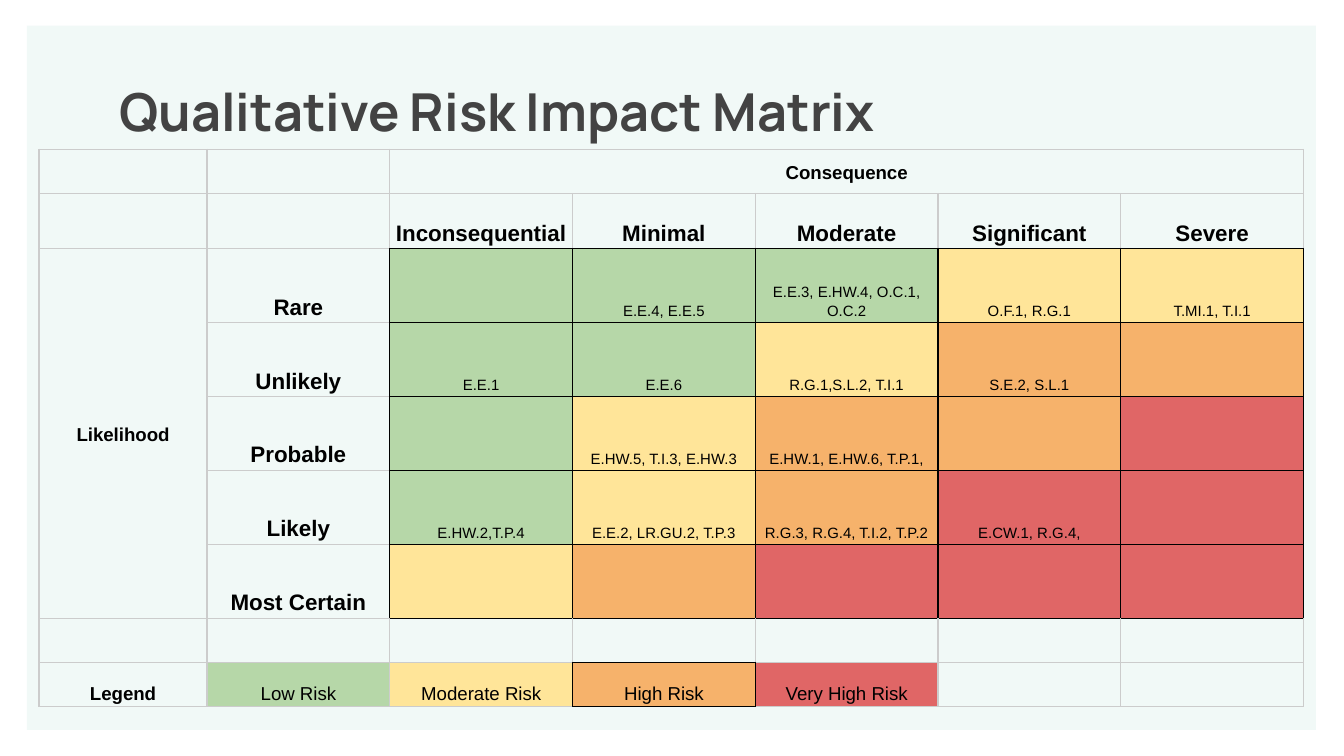
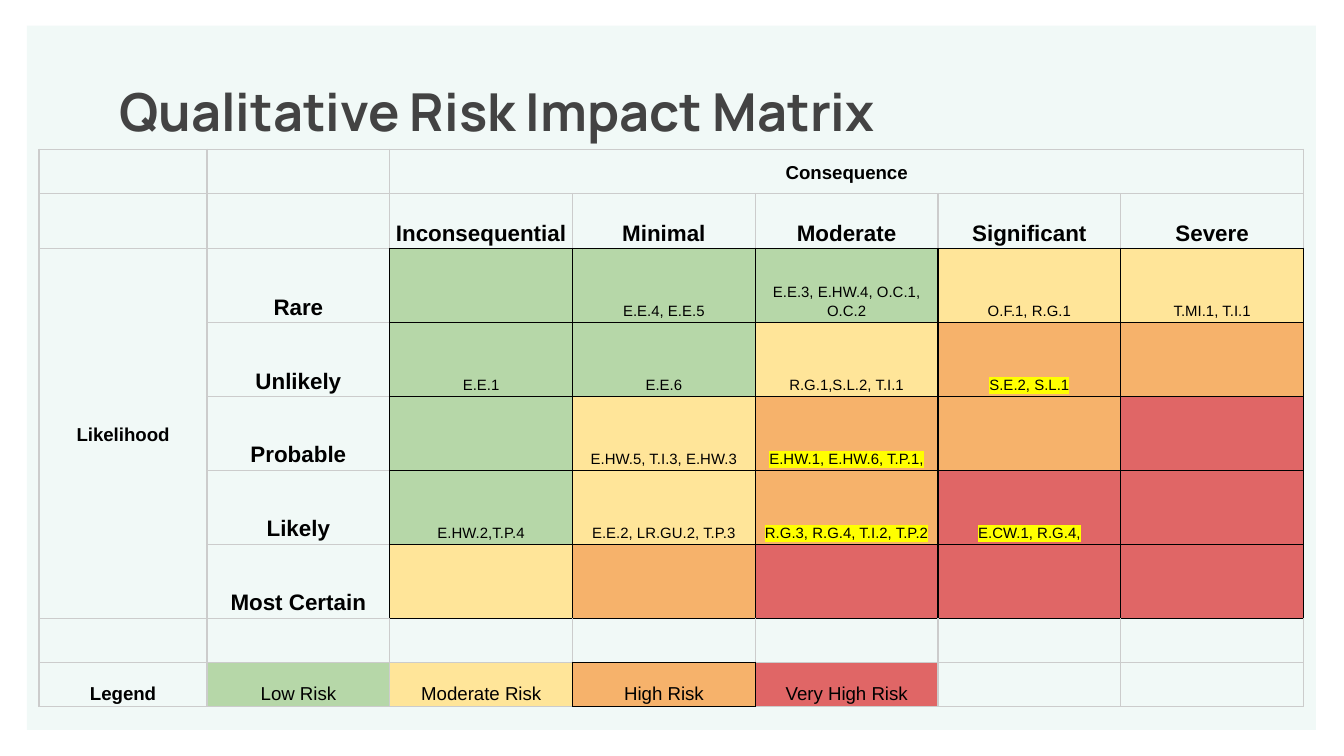
from lxml.etree import SubElement
from pptx import Presentation
from pptx.dml.color import RGBColor
from pptx.enum.shapes import MSO_SHAPE
from pptx.enum.text import MSO_ANCHOR, PP_ALIGN
from pptx.oxml.ns import qn
from pptx.util import Pt

PX = 9144  # 100 px to the inch
SLIDE_WIDTH = 1000 * PX
COLORS = {
    "panel": "98D3C7", "title": "434343", "text": "000000",
    "grid": "CCCCCC", "box": "000000", "highlight": "FFFF00",
    "L": "B6D7A8", "M": "FFE599", "H": "F6B26B", "V": "E06666",
}
TITLE = "Qualitative Risk Impact Matrix"
CONSEQUENCES = ["Inconsequential", "Minimal", "Moderate", "Significant", "Severe"]
# likelihood, risk level of each consequence, risks in each cell
LIKELIHOODS = [
    ("Rare", "LLLMM", ["", "E.E.4, E.E.5", "E.E.3, E.HW.4, O.C.1, O.C.2",
                       "O.F.1, R.G.1", "T.MI.1, T.I.1"]),
    ("Unlikely", "LLMHH", ["E.E.1", "E.E.6", "R.G.1,S.L.2, T.I.1", "S.E.2, S.L.1", ""]),
    ("Probable", "LMHHV", ["", "E.HW.5, T.I.3, E.HW.3", "E.HW.1, E.HW.6, T.P.1,", "", ""]),
    ("Likely", "LMHVV", ["E.HW.2,T.P.4", "E.E.2, LR.GU.2, T.P.3",
                         "R.G.3, R.G.4, T.I.2, T.P.2", "E.CW.1, R.G.4,", ""]),
    ("Most Certain", "MHVVV", [""] * 5),
]
LEGEND = {"L": "Low Risk", "M": "Moderate Risk", "H": "High Risk", "V": "Very High Risk"}
COL_WIDTHS = [125] + [136] * 6
ROW_HEIGHTS = [33, 41] + [55] * 5 + [33] * 2
FIRST_ROW, FIRST_COL, LEGEND_ROW = 2, 2, 8
BOXED = {(FIRST_ROW + i, FIRST_COL + j) for i in range(5) for j in range(5)}
BOXED.add((LEGEND_ROW, 1 + list(LEGEND).index("H")))
SIDES = {"a:lnL": (0, -1), "a:lnR": (0, 1), "a:lnT": (-1, 0), "a:lnB": (1, 0)}


def rgb(name):
    return RGBColor.from_string(COLORS[name])


class Deck:
    """Holds the presentation, its style and the current slide."""

    def __init__(self):
        self.prs = Presentation()
        self.prs.slide_width = SLIDE_WIDTH
        self.prs.slide_height = SLIDE_WIDTH * 9 // 16

    def new_slide(self):
        self.s = self.prs.slides.add_slide(self.prs.slide_layouts[6])
        self.panel(20, 19, 959, 524)
        self.title(TITLE, 79, 51, 843, 63)

    def panel(self, *box):
        sp = self.s.shapes.add_shape(MSO_SHAPE.ROUNDED_RECTANGLE, *(v * PX for v in box))
        sp.adjustments[0] = 0
        sp.shadow.inherit = False
        sp.line.fill.background()
        sp.fill.solid()
        sp.fill.fore_color.rgb = rgb("panel")
        color = sp._element.spPr.find(qn("a:solidFill"))[0]
        SubElement(color, qn("a:alpha"), val="13000")

    def title(self, text, *box):
        tf = self.s.shapes.add_textbox(*(v * PX for v in box)).text_frame
        tf.word_wrap = True
        tf.margin_left = tf.margin_right = tf.margin_top = tf.margin_bottom = 10 * PX
        tf.vertical_anchor = MSO_ANCHOR.MIDDLE
        self.run(tf.paragraphs[0], text, 28, True, "title", "Manrope")

    def run(self, p, text, size, bold, color="text", font="Arial", highlight=False):
        r = p.add_run()
        r.text = text
        r.font.size, r.font.bold, r.font.name = Pt(size), bold, font
        r.font.color.rgb = rgb(color)
        if highlight:
            rPr = r.font._element
            mark = SubElement(rPr, qn("a:highlight"))
            SubElement(mark, qn("a:srgbClr"), val=COLORS["highlight"])
            rPr.find(qn("a:solidFill")).addnext(mark)

    def table(self, left, top):
        size = len(ROW_HEIGHTS), len(COL_WIDTHS)
        frame = self.s.shapes.add_table(*size, left * PX, top * PX,
                                        sum(COL_WIDTHS) * PX, sum(ROW_HEIGHTS) * PX)
        table = frame.table
        table.first_row = table.horz_banding = False
        for col, width in zip(table.columns, COL_WIDTHS):
            col.width = width * PX
        for row, height in zip(table.rows, ROW_HEIGHTS):
            row.height = height * PX
        for i in range(size[0]):
            for j in range(size[1]):
                cell = table.cell(i, j)
                cell.margin_left = cell.margin_right = 3 * PX
                cell.margin_top = cell.margin_bottom = 2 * PX
                cell.fill.background()
                self.borders(cell, i, j)
                # keeps empty cells from stretching their row
                SubElement(cell.text_frame.paragraphs[0]._p, qn("a:endParaRPr"), sz="800")
        return table

    def borders(self, cell, i, j):
        """Black on edges that touch a boxed cell, grey elsewhere."""
        tcPr = cell._tc.get_or_add_tcPr()
        for k, (tag, (di, dj)) in enumerate(SIDES.items()):
            boxed = BOXED & {(i, j), (i + di, j + dj)}
            ln = SubElement(tcPr, qn(tag), w=str(Pt(0.75)))
            fill = SubElement(ln, qn("a:solidFill"))
            SubElement(fill, qn("a:srgbClr"), val=COLORS["box" if boxed else "grid"])
            tcPr.insert(k, ln)

    def cell(self, cell, text, size, bold=True, level=None, highlight=False,
             anchor=MSO_ANCHOR.BOTTOM):
        cell.vertical_anchor = anchor
        if level:
            cell.fill.solid()
            cell.fill.fore_color.rgb = rgb(level)
        if text:
            p = cell.text_frame.paragraphs[0]
            p.alignment, p.line_spacing = PP_ALIGN.CENTER, 1.15
            self.run(p, text, size, bold, highlight=highlight)

    def risk_matrix(self, highlighted_levels=""):
        table = self.table(29, 111)
        for text, start, end in [("Consequence", (0, 2), (0, 6)),
                                 ("Likelihood", (2, 0), (6, 0))]:
            table.cell(*start).merge(table.cell(*end))
            self.cell(table.cell(*start), text, 10, anchor=MSO_ANCHOR.MIDDLE)
        for j, name in enumerate(CONSEQUENCES, FIRST_COL):
            self.cell(table.cell(1, j), name, 12)
        for i, (name, levels, risks) in enumerate(LIKELIHOODS, FIRST_ROW):
            self.cell(table.cell(i, 1), name, 12)
            for j, (level, text) in enumerate(zip(levels, risks), FIRST_COL):
                self.cell(table.cell(i, j), text, 8, False, level,
                          level in highlighted_levels)
        self.cell(table.cell(LEGEND_ROW, 0), "Legend", 10)
        for j, (level, name) in enumerate(LEGEND.items(), 1):
            self.cell(table.cell(LEGEND_ROW, j), name, 10, False, level)


def main():
    deck = Deck()
    for highlighted_levels in ("", "HV"):
        deck.new_slide()
        deck.risk_matrix(highlighted_levels)
    deck.prs.save("out.pptx")


if __name__ == "__main__":
    main()
